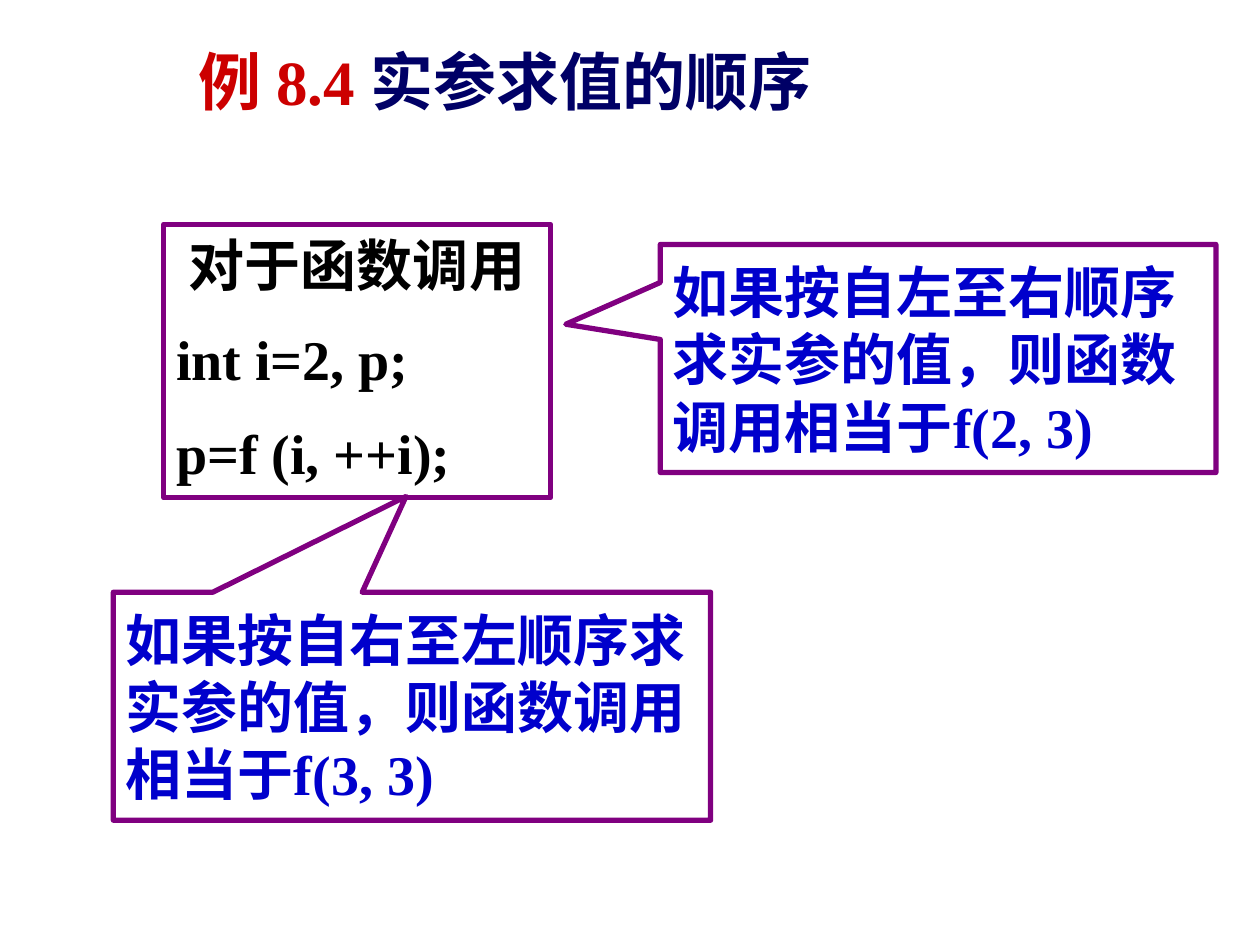
from pptx import Presentation
from pptx.dml.color import RGBColor
from pptx.enum.shapes import MSO_SHAPE
from pptx.enum.text import MSO_ANCHOR, MSO_AUTO_SIZE, PP_ALIGN
from pptx.util import Inches, Pt

RECTANGLE = MSO_SHAPE.RECTANGLE
CALLOUT = MSO_SHAPE.RECTANGULAR_CALLOUT
TOP, MIDDLE = MSO_ANCHOR.TOP, MSO_ANCHOR.MIDDLE
LEFT, CENTER = PP_ALIGN.LEFT, PP_ALIGN.CENTER
GROW, FIXED = MSO_AUTO_SIZE.SHAPE_TO_FIT_TEXT, MSO_AUTO_SIZE.NONE
TITLE_ONLY = 5

COLORS = {
    "paper": "FFFFFF",
    "border": "800080",
    "number": "CC0000",
    "title": "000066",
    "code": "000000",
    "answer": "0000CC",
}


class SlideBuilder:
    """Holds the style and the slide; the grid has 100 columns and 75 rows."""

    font_name = "Times New Roman"
    title_size, body_size, border_width = 36, 32, 3
    columns, rows = 100, 75

    def __init__(self, presentation):
        self.column = presentation.slide_width / self.columns
        self.row = presentation.slide_height / self.rows
        self.slide = presentation.slides.add_slide(
            presentation.slide_layouts[TITLE_ONLY])

    def color(self, name):
        return RGBColor.from_string(COLORS[name])

    def area(self, left, top, width, height):
        return (round(left * self.column), round(top * self.row),
                round(width * self.column), round(height * self.row))

    def add_runs(self, paragraph, runs, size, alignment=LEFT):
        paragraph.alignment = alignment
        for text, color in runs:
            run = paragraph.add_run()
            run.text = text
            run.font.name = self.font_name
            run.font.size = Pt(size)
            run.font.bold = True
            run.font.color.rgb = self.color(color)

    def title(self, place, runs):
        shape = self.slide.shapes.title
        shape.left, shape.top, shape.width, shape.height = self.area(*place)
        frame = shape.text_frame
        frame.word_wrap = True
        frame.auto_size = FIXED
        frame.vertical_anchor = MIDDLE
        self.add_runs(frame.paragraphs[0], runs, self.title_size, CENTER)

    def box(self, kind, place, lines, anchor, auto_size=FIXED, spacing=None):
        shape = self.slide.shapes.add_shape(kind, *self.area(*place))
        shape.shadow.inherit = False
        shape.fill.solid()
        shape.fill.fore_color.rgb = self.color("paper")
        shape.line.color.rgb = self.color("border")
        shape.line.width = Pt(self.border_width)
        frame = shape.text_frame
        frame.word_wrap = True
        frame.auto_size = auto_size
        frame.vertical_anchor = anchor
        for index, runs in enumerate(lines):
            paragraph = frame.add_paragraph() if index else frame.paragraphs[0]
            if index:
                paragraph.line_spacing = spacing
            self.add_runs(paragraph, runs, self.body_size)
        return shape

    def callout(self, place, tip, text):
        shape = self.box(CALLOUT, place, [[(text, "answer")]], MIDDLE)
        shape.adjustments[0], shape.adjustments[1] = tip


def main():
    presentation = Presentation()
    presentation.slide_width = Inches(10)
    presentation.slide_height = Inches(7.5)
    builder = SlideBuilder(presentation)

    # Title
    builder.title((9, 2.8, 62.2, 7.1),
                  [("例 8.4 ", "number"), ("实参求值的顺序", "title")])

    # Function call under discussion
    code_lines = (" 对于函数调用", "int i=2, p;", "p=f (i, ++i);")
    builder.box(RECTANGLE, (13, 17.8, 30.7, 21.7),
                [[(line, "code")] for line in code_lines],
                TOP, GROW, spacing=1.4)

    # The two evaluation orders
    builder.callout((52.4, 19.4, 44.1, 18.1), (-0.67, -0.15),
                    "如果按自左至右顺序求实参的值，则函数调用相当于f(2, 3)")
    builder.callout((9, 47, 47.4, 18.1), (-0.01, -0.92),
                    "如果按自右至左顺序求实参的值，则函数调用相当于f(3, 3)")

    presentation.save("out.pptx")


if __name__ == "__main__":
    main()
